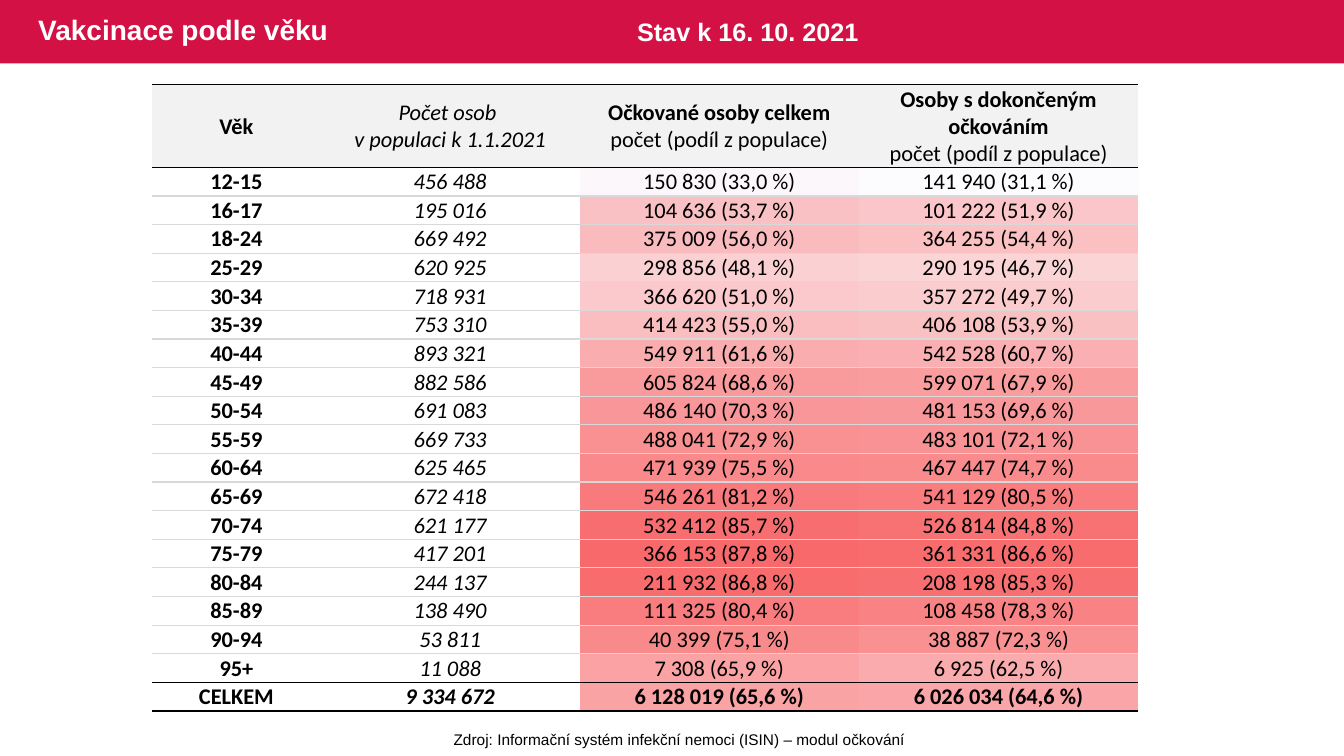
"""Builds the slide on vaccination by age: a heat map under a table of counts."""
from lxml import etree
from pptx import Presentation
from pptx.dml.color import RGBColor as Rgb
from pptx.enum.shapes import MSO_SHAPE as Shape
from pptx.enum.text import MSO_ANCHOR as Anchor, PP_ALIGN as Align
from pptx.oxml import parse_xml
from pptx.oxml.ns import nsdecls, qn
from pptx.util import Inches, Pt

TITLE = "Vakcinace podle věku"
DATE = "Stav k 16. 10. 2021"
SOURCE = "Zdroj: Informační systém infekční nemoci (ISIN) – modul očkování"
SHARE = "počet (podíl z populace)"
HEADS = [
    [("Věk", "b")],
    [("Počet osob ", "i"), ("v populaci k 1.1.2021", "i")],
    [("Očkované osoby celkem", "b"), (SHARE, "")],
    [("Osoby s dokončeným očkováním", "b"), (SHARE, "")],
]
ROWS = [
    ("12-15", "456 488", "150 830", 33.0, "141 940", 31.1),
    ("16-17", "195 016", "104 636", 53.7, "101 222", 51.9),
    ("18-24", "669 492", "375 009", 56.0, "364 255", 54.4),
    ("25-29", "620 925", "298 856", 48.1, "290 195", 46.7),
    ("30-34", "718 931", "366 620", 51.0, "357 272", 49.7),
    ("35-39", "753 310", "414 423", 55.0, "406 108", 53.9),
    ("40-44", "893 321", "549 911", 61.6, "542 528", 60.7),
    ("45-49", "882 586", "605 824", 68.6, "599 071", 67.9),
    ("50-54", "691 083", "486 140", 70.3, "481 153", 69.6),
    ("55-59", "669 733", "488 041", 72.9, "483 101", 72.1),
    ("60-64", "625 465", "471 939", 75.5, "467 447", 74.7),
    ("65-69", "672 418", "546 261", 81.2, "541 129", 80.5),
    ("70-74", "621 177", "532 412", 85.7, "526 814", 84.8),
    ("75-79", "417 201", "366 153", 87.8, "361 331", 86.6),
    ("80-84", "244 137", "211 932", 86.8, "208 198", 85.3),
    ("85-89", "138 490", "111 325", 80.4, "108 458", 78.3),
    ("90-94", "53 811", "40 399", 75.1, "38 887", 72.3),
    ("95+", "11 088", "7 308", 65.9, "6 925", 62.5),
    ("CELKEM", "9 334 672", "6 128 019", 65.6, "6 026 034", 64.6),
]
HUES = {"bar": "D31145", "white": "FFFFFF", "black": "000000", "head": "F2F2F2",
        "rule": "D9D9D9", "low": "FCFCFF", "high": "F8696B"}
PLAIN = "{2D5ABB26-0587-4C30-8999-92F81FD0307C}"
WIDTHS = [1.67, 2.57, 2.77, 2.77]
LEFT, TOP, HEAD, BODY = 1.51, 0.84, 0.82, 5.4
STEP = BODY / len(ROWS)


def put(frame, lines, size=16, font="Calibri", hue="black", align=Align.CENTER, space=None):
    """Write lines of (text, style) where style may hold b and i."""
    for n, (words, style) in enumerate(lines):
        para = frame.paragraphs[0] if n == 0 else frame.add_paragraph()
        para.alignment, para.line_spacing = align, space
        run = para.add_run()
        run.text = words
        face = run.font
        face.name, face.size = font, Pt(size)
        face.bold, face.italic = "b" in style, "i" in style
        face.color.rgb = Rgb.from_string(HUES[hue])


def label(words, style, left, top, width, height, wrap=True, anchor=Anchor.TOP, **form):
    """Add a text box."""
    frame = slide.shapes.add_textbox(*map(Inches, (left, top, width, height))).text_frame
    frame.word_wrap, frame.vertical_anchor = wrap, anchor
    put(frame, [(words, style)], font="Arial", **form)


def grid(left, top, widths, heights):
    """Add a table without any style."""
    box = map(Inches, (left, top, sum(widths), sum(heights)))
    table = slide.shapes.add_table(len(heights), len(widths), *box).table
    table.first_row = table.horz_banding = False
    table._tbl.tblPr.find(qn("a:tableStyleId")).text = PLAIN
    for col, width in zip(table.columns, widths):
        col.width = Inches(width)
    for row, height in zip(table.rows, heights):
        row.height = Inches(height)
    for cell in table.iter_cells():
        cell.margin_left = cell.margin_right = cell.margin_top = Inches(0.01)
        cell.margin_bottom = 0
        cell.vertical_anchor = Anchor.MIDDLE
        cell.fill.background()
    return table


def paint(item, hue):
    """Fill a shape or cell with a solid colour."""
    item.fill.solid()
    item.fill.fore_color.rgb = Rgb.from_string(hue)


def edge(cell, over, under):
    """Draw the top and bottom borders of a cell."""
    for n, (tag, hue) in enumerate((("lnT", over), ("lnB", under))):
        cell._tc.get_or_add_tcPr().insert(n, parse_xml(
            f'<a:{tag} {nsdecls("a")} w="12700"><a:solidFill>'
            f'<a:srgbClr val="{HUES[hue]}"/></a:solidFill></a:{tag}>'))


def blend(part):
    """Mix the low and high colours."""
    low, high = (Rgb.from_string(HUES[key]) for key in ("low", "high"))
    return "".join(f"{round(a + (b - a) * part):02X}" for a, b in zip(low, high))


deck = Presentation()
deck.slide_width, deck.slide_height = Inches(13.33), Inches(7.5)
slide = deck.slides.add_slide(deck.slide_layouts[6])

bar = slide.shapes.add_shape(Shape.RECTANGLE, 0, 0, deck.slide_width, Inches(0.63))
bar.shadow.inherit = False
bar.line.fill.background()
paint(bar, HUES["bar"])

shares = [(row[3], row[5]) for row in ROWS]
least, most = min(map(min, shares)), max(map(max, shares))
heat = grid(LEFT + sum(WIDTHS[:2]), TOP + HEAD, WIDTHS[2:], [STEP] * len(ROWS))
for r, pair in enumerate(shares):
    for c, share in enumerate(pair):
        cell = heat.cell(r, c)
        paint(cell, blend((share - least) / (most - least)))
        etree.SubElement(cell.text_frame.paragraphs[0]._p, qn("a:endParaRPr"), sz="1200")

label(TITLE, "b", 0.28, 0, 8.13, 0.63, anchor=Anchor.MIDDLE, size=20, hue="white",
      align=Align.LEFT, space=0.9)
label(SOURCE, "", 4.39, 7.19, 4.7, 0.29, wrap=False, size=11)

table = grid(LEFT, TOP, WIDTHS, [HEAD] + [STEP] * len(ROWS))
last = len(ROWS)
for c, lines in enumerate(HEADS):
    cell = table.cell(0, c)
    paint(cell, HUES["head"])
    put(cell.text_frame, lines)
    edge(cell, "black", "black")
for r, (age, people, some, part, full, rest) in enumerate(ROWS, 1):
    counts = [f"{n} ({share:.1f} %)".replace(".", ",") for n, share in ((some, part), (full, rest))]
    bold = "b" if r == last else ""
    styles = ("b", "i" + bold, bold, bold)
    for c, (words, style) in enumerate(zip((age, people, *counts), styles)):
        cell = table.cell(r, c)
        put(cell.text_frame, [(words, style)])
        edge(cell, "black" if r in (1, last) else "rule",
             "black" if r >= last - 1 else "rule")

label(DATE, "b", 6.22, 0.11, 2.59, 0.4, size=18, hue="white", align=Align.LEFT)
deck.save("out.pptx")
